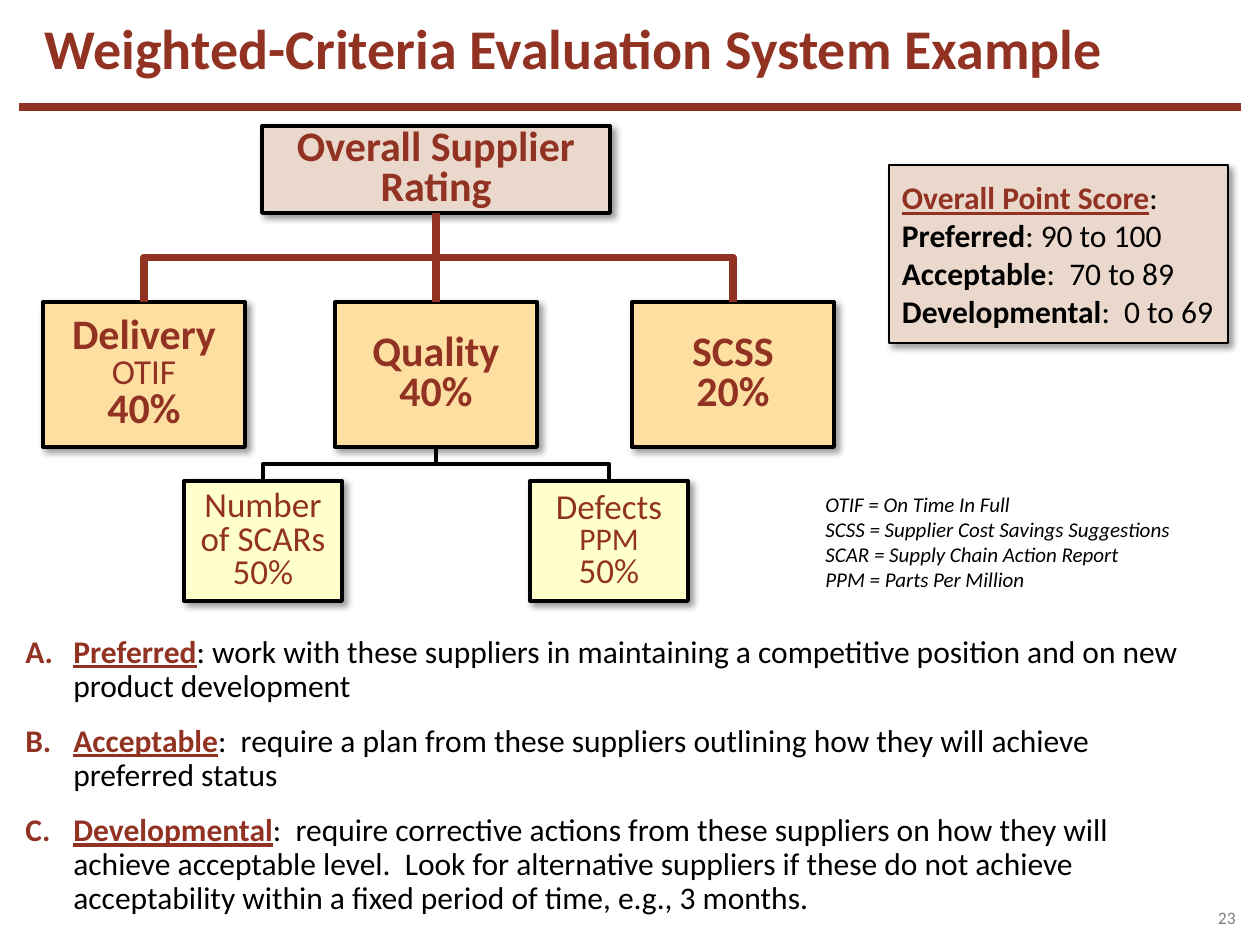
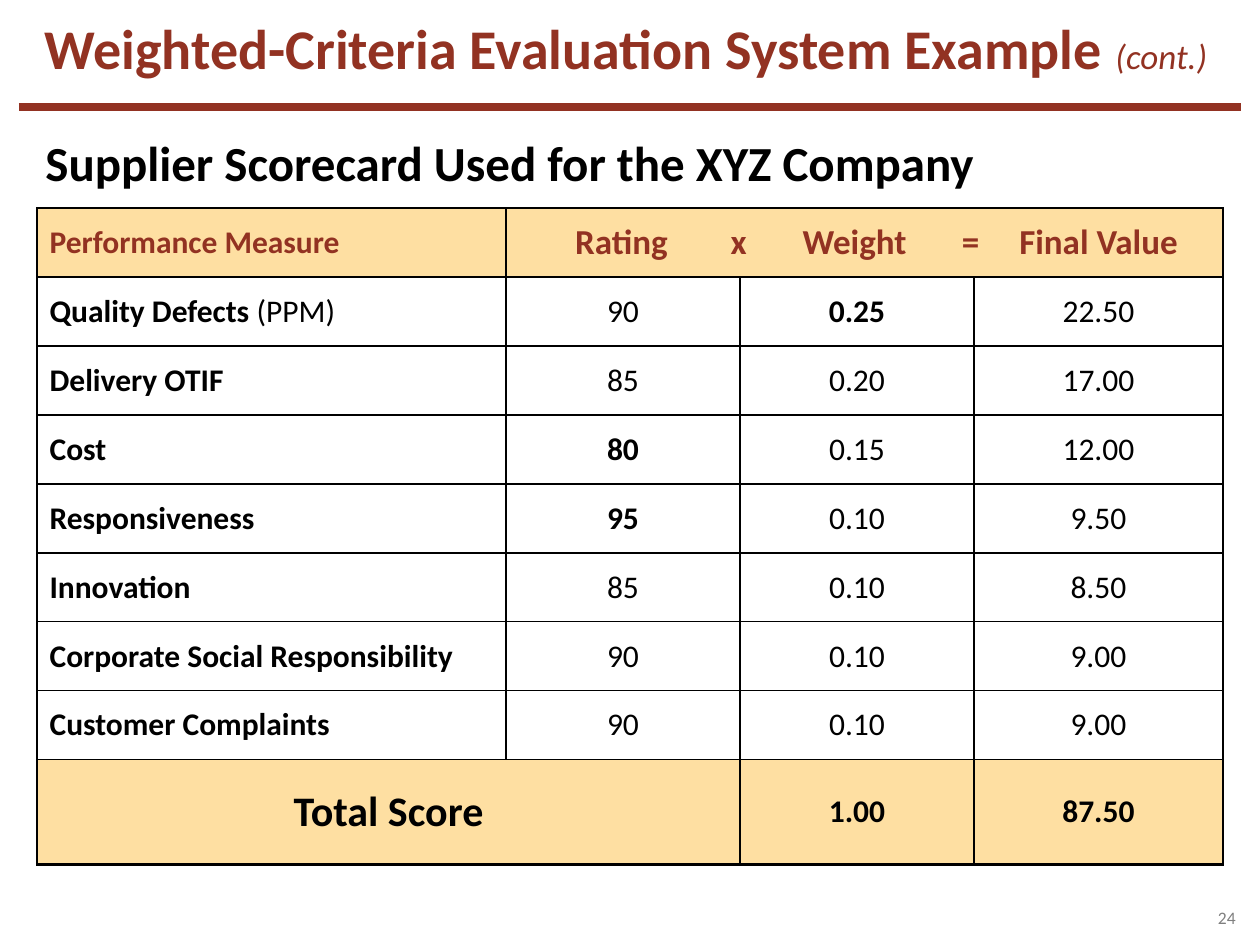
from lxml import etree
from pptx import Presentation, util as u
from pptx.dml.color import RGBColor
from pptx.enum import shapes, text
from pptx.oxml import ns

COLORS = {
    "brick": "923222", "sand": "FEDFA2", "cream": "FFFFCC", "clay": "E9D8CB",
    "black": "000000", "white": "FFFFFF", "gray": "7F7F7F",
}
FONT = "Calibri"
PX = 914400 / 126
CENTER, LEFT = text.PP_ALIGN.CENTER, text.PP_ALIGN.LEFT
MIDDLE, TOP = text.MSO_ANCHOR.MIDDLE, text.MSO_ANCHOR.TOP
TITLE = "Weighted-Criteria Evaluation System Example"
HEADING = {"color": "brick", "bold": True, "underline": True}
BOLD, PLAIN = {"bold": True}, {"bold": False}


def px(length):
    return u.Emu(round(length * PX))


def rgb(name):
    return RGBColor.from_string(COLORS[name])


def add_xml(parent, tag, **attributes):
    return etree.SubElement(parent, ns.qn(tag), {k: str(v) for k, v in attributes.items()})


def format_run(run, size, color="black", bold=False, italic=False, underline=False):
    font = run.font
    font.name, font.size = FONT, u.Pt(size)
    font.bold, font.italic, font.underline = bold, italic, underline
    font.color.rgb = rgb(color)


def write(frame, lines, align=LEFT, spacing=None, **style):
    """Fill a frame; a line is a string or a list of (text, style changes) runs."""
    for index, line in enumerate(lines):
        paragraph = frame.paragraphs[0] if index == 0 else frame.add_paragraph()
        paragraph.alignment = align
        if spacing:
            paragraph.line_spacing = spacing
        (first, changes), *others = [(line, {})] if isinstance(line, str) else line
        paragraph.text = first
        for run in paragraph.runs:
            format_run(run, **{**style, **changes})
        for words, changes in others:
            run = paragraph.add_run()
            run.text = words
            format_run(run, **{**style, **changes})


def set_frame(frame, anchor=MIDDLE, margin=None, wrap=True):
    frame.word_wrap, frame.vertical_anchor = wrap, anchor
    frame.auto_size = text.MSO_AUTO_SIZE.NONE
    if margin is not None:
        frame.margin_left = frame.margin_right = px(margin)
        frame.margin_top = frame.margin_bottom = px(margin)


def add_text(slide, box, lines, anchor=TOP, margin=None, **style):
    frame = slide.shapes.add_textbox(*map(px, box)).text_frame
    set_frame(frame, anchor, margin)
    write(frame, lines, **style)
    return frame


def add_box(slide, box, fill, lines, border=2.25, margin=0, wrap=True, **style):
    shape = slide.shapes.add_shape(shapes.MSO_SHAPE.RECTANGLE, *map(px, box))
    shape.fill.solid()
    shape.fill.fore_color.rgb = rgb(fill)
    shape.line.color.rgb = rgb("black")
    shape.line.width = u.Pt(border)
    shape.shadow.inherit = False
    effects = shape._element.spPr.find(ns.qn("a:effectLst"))
    shadow = add_xml(effects, "a:outerShdw", blurRad=u.Pt(4), dist=u.Pt(3),
                     dir=45 * 60000, algn="tl", rotWithShape=0)
    color = add_xml(shadow, "a:srgbClr", val=COLORS["black"])
    add_xml(color, "a:alpha", val=40000)
    set_frame(shape.text_frame, margin=margin, wrap=wrap)
    write(shape.text_frame, lines, **style)
    return shape


def add_line(slide, kind, begin, end, color, width):
    connector = slide.shapes.add_connector(kind, *begin, *end)
    connector.line.color.rgb = rgb(color)
    connector.line.width = u.Pt(width)
    add_xml(connector._element.spPr, "a:effectLst")
    return connector


def link_down(slide, parent, child, color, width):
    """Join the bottom of parent to the top of child, bending where they are not aligned."""
    x1, y1 = parent.left + parent.width // 2, parent.top + parent.height
    x2, y2 = child.left + child.width // 2, child.top
    if abs(x2 - x1) < px(2):
        connector = add_line(slide, shapes.MSO_CONNECTOR.STRAIGHT,
                             (x1, y1), (x2, y2), color, width)
        connector.begin_connect(parent, 2)
        connector.end_connect(child, 0)
        return
    # An elbow runs sideways first, so it is laid out turned a quarter about its centre.
    drop, reach = y2 - y1, abs(x2 - x1)
    left, top = (x1 + x2 - drop) // 2, (y1 + y2 - reach) // 2
    ends, turn = (left, left + drop), 90
    if x2 > x1:
        ends, turn = ends[::-1], 270
    connector = add_line(slide, shapes.MSO_CONNECTOR.ELBOW,
                         (ends[0], top), (ends[1], top + reach), color, width)
    connector._element.spPr.find(ns.qn("a:xfrm")).set("rot", str(turn * 60000))


def add_titled_slide(presentation, title_runs, title_width, number):
    slide = presentation.slides.add_slide(presentation.slide_layouts[5])
    title = slide.shapes.title
    title.left, title.top, title.width, title.height = map(px, (32, 24, title_width, 58))
    set_frame(title.text_frame)
    write(title.text_frame, [title_runs], spacing=0.8, size=32, color="brick", bold=True)
    add_line(slide, shapes.MSO_CONNECTOR.STRAIGHT,
             (px(19), px(107)), (px(1241), px(107)), "brick", 4.5)
    add_text(slide, (1218, 906, 26, 24), [str(number)], anchor=MIDDLE, margin=0,
             size=10, color="gray")
    return slide


def rating_tree(slide, left, top):
    style = {"align": CENTER, "spacing": 0.8, "color": "brick"}
    criteria = [
        (0, ["Delivery", [("OTIF", {"size": 20, "bold": False})], "40%"]),
        (292, ["Quality", "40%"]),
        (589, ["SCSS", "20%"]),
    ]
    measures = [
        (141, ["Number\vof SCARs", "50%"]),
        (487, ["Defects", [("PPM", {"size": 18})], "50%"]),
    ]
    criterion_boxes = [
        add_box(slide, (left + x, top + 176, 202, 145), "sand", lines,
                size=24, bold=True, **style) for x, lines in criteria]
    measure_boxes = [
        add_box(slide, (left + x, top + 355, 158, 120), "cream", lines,
                size=20, **style) for x, lines in measures]
    overall = add_box(slide, (left + 219, top, 348, 87), "clay",
                      ["Overall Supplier Rating"], size=24, bold=True, **style)
    for box in criterion_boxes:
        link_down(slide, overall, box, "brick", 4.5)
    for box in measure_boxes:
        link_down(slide, criterion_boxes[1], box, "black", 2.25)


def score_key(slide, box):
    bands = [("Preferred", ": 90 to 100"), ("Acceptable", ":  70 to 89"),
             ("Developmental", ":  0 to 69")]
    lines = [[("Overall Point Score", HEADING), (":", {})]]
    lines += [[(name, BOLD), (points, {})] for name, points in bands]
    add_box(slide, box, "clay", lines, border=0.75, margin=13, wrap=False, size=18)


def supplier_actions(slide, box):
    actions = [
        ("Preferred", ": work with these suppliers in maintaining a competitive "
                      "position and on new product development"),
        ("Acceptable", ":  require a plan from these suppliers outlining how they "
                       "will achieve preferred status"),
        ("Developmental", ":  require corrective actions from these suppliers on how "
                          "they will achieve acceptable level.  Look for alternative "
                          "suppliers if these do not achieve acceptability within a "
                          "fixed period of time, e.g., 3 months."),
    ]
    frame = add_text(slide, box, [[(name, HEADING), (action, {})] for name, action in actions],
                     spacing=0.9, size=18)
    for index, paragraph in enumerate(frame.paragraphs):
        paragraph.space_before = u.Pt(6 if index else 0)
        paragraph.space_after = u.Pt(6)
        properties = paragraph._p.get_or_add_pPr()
        properties.set("marL", str(px(48)))
        properties.set("indent", str(-px(48)))
        add_xml(properties, "a:buFont", typeface="+mj-lt")
        add_xml(properties, "a:buAutoNum", type="alphaUcPeriod")


def fill_cell(cell, line, fill, bottom=1, **style):
    properties = cell._tc.get_or_add_tcPr()
    for side, width in (("L", 1), ("R", 1), ("T", 1), ("B", bottom)):
        border = add_xml(properties, "a:ln" + side, w=u.Pt(width))
        add_xml(add_xml(border, "a:solidFill"), "a:srgbClr", val=COLORS["black"])
    cell.fill.solid()
    cell.fill.fore_color.rgb = rgb(fill)
    cell.vertical_anchor = MIDDLE
    write(cell.text_frame, [line], **style)


def scorecard(slide, left, top):
    columns, row_height, total_height = (469, 234, 234, 249), 69, 105
    measures = [
        ([("Quality Defects ", {}), ("(PPM)", PLAIN)], "90", [("0.25", BOLD)], "22.50"),
        ("Delivery OTIF", "85", "0.20", "17.00"),
        ("Cost", [("80", BOLD)], "0.15", "12.00"),
        ("Responsiveness", [("95", BOLD)], "0.10", "9.50"),
        ("Innovation", "85", "0.10", "8.50"),
        ("Corporate Social Responsibility", "90", "0.10", "9.00"),
        ("Customer Complaints", "90", "0.10", "9.00"),
    ]
    total = len(measures) + 1
    height = row_height * total + total_height
    table = slide.shapes.add_table(total + 1, len(columns), px(left), px(top),
                                   px(sum(columns)), px(height)).table
    table.first_row = table.horz_banding = False
    for column, width in zip(table.columns, columns):
        column.width = px(width)
    for index, row in enumerate(table.rows):
        row.height = px(total_height if index == total else row_height)

    table.cell(0, 1).merge(table.cell(0, 3))
    heading = {"fill": "sand", "color": "brick", "bold": True}
    fill_cell(table.cell(0, 0), "Performance Measure", size=18, **heading)
    formula = table.cell(0, 1)
    fill_cell(formula, "\tRating\tx\tWeight\t=\tFinal Value", size=20, **heading)
    tabs = add_xml(formula.text_frame.paragraphs[0]._p.get_or_add_pPr(), "a:tabLst")
    for position in (103, 220, 336, 452, 580):
        add_xml(tabs, "a:tab", pos=px(position), algn="ctr")

    for row, (name, *values) in enumerate(measures, 1):
        fill_cell(table.cell(row, 0), name, "white", size=18, bold=True)
        for column, value in enumerate(values, 1):
            fill_cell(table.cell(row, column), value, "white", size=18, align=CENTER)

    table.cell(total, 0).merge(table.cell(total, 1))
    for column, value, size in ((0, "Total Score", 24), (2, "1.00", 18), (3, "87.50", 18)):
        fill_cell(table.cell(total, column), value, "sand", bottom=2,
                  size=size, bold=True, align=CENTER)


def rating_slide(presentation):
    slide = add_titled_slide(presentation, TITLE, 1163, 23)
    rating_tree(slide, 43, 126)
    supplier_actions(slide, (13, 630, 1198, 296))
    score_key(slide, (889, 165, 339, 178))
    add_text(slide, (813, 485, 374, 115), [
        "OTIF = On Time In Full",
        "SCSS = Supplier Cost Savings Suggestions",
        "SCAR = Supply Chain Action Report",
        "PPM = Parts Per Million",
    ], size=12, italic=True)


def scorecard_slide(presentation):
    continued = ("(cont.)", {"size": 20, "bold": False, "italic": True})
    slide = add_titled_slide(presentation, [(TITLE + " ", {}), continued], 1228, 24)
    add_text(slide, (33, 126, 1116, 72), ["Supplier Scorecard Used for the XYZ Company"],
             anchor=MIDDLE, size=28, bold=True)
    scorecard(slide, 37, 208)


def main():
    presentation = Presentation()
    presentation.slide_width, presentation.slide_height = px(1260), px(945)
    rating_slide(presentation)
    scorecard_slide(presentation)
    presentation.save("out.pptx")


if __name__ == "__main__":
    main()
